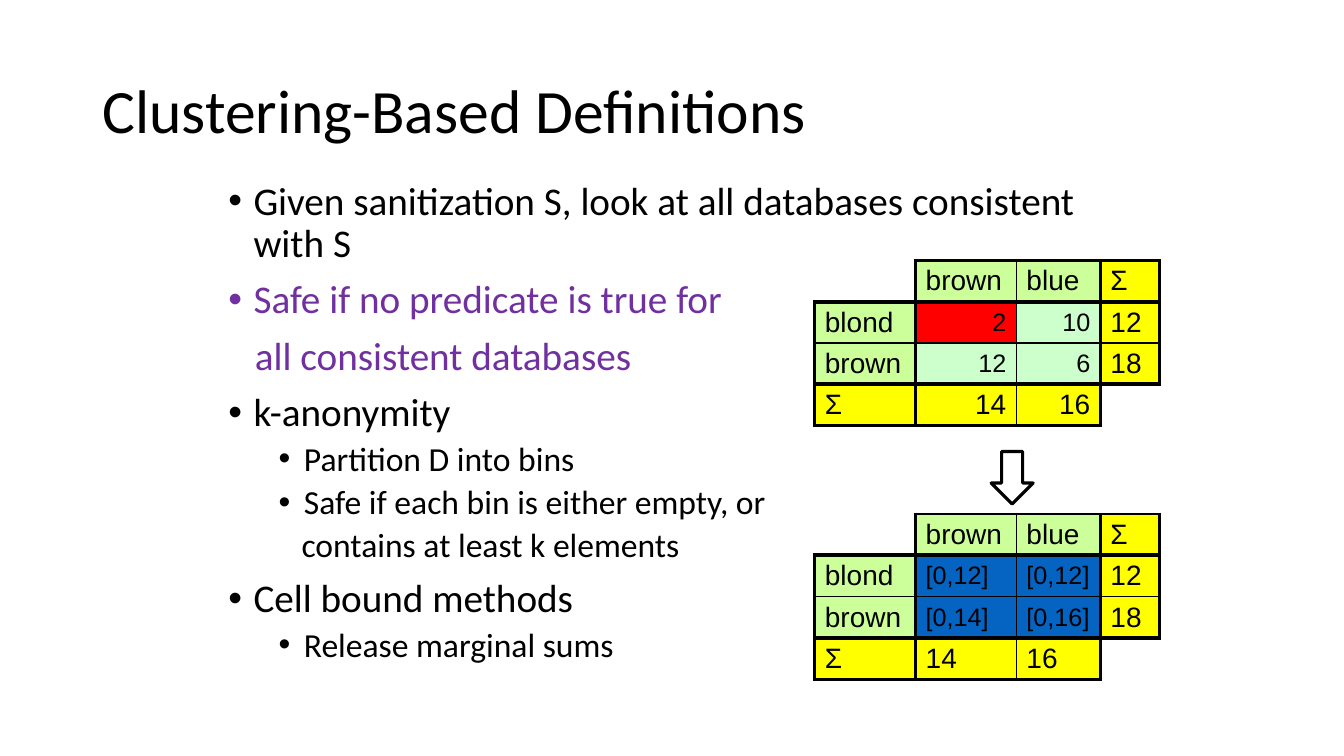
import pptx
import pptx.util
import pptx.dml.color
import pptx.enum.shapes
import pptx.enum.text
from lxml import etree

Pt = pptx.util.Pt
RGBColor = pptx.dml.color.RGBColor
MSO_ANCHOR = pptx.enum.text.MSO_ANCHOR
PP_ALIGN = pptx.enum.text.PP_ALIGN
qn = pptx.oxml.ns.qn

BLACK = RGBColor(0x00, 0x00, 0x00)
PURPLE = RGBColor(0x70, 0x30, 0xA0)
LIME = RGBColor(0xCC, 0xFF, 0x99)
MINT = RGBColor(0xCC, 0xFF, 0xCC)
YELLOW = RGBColor(0xFF, 0xFF, 0x00)
RED = RGBColor(0xFF, 0x00, 0x00)
BLUE = RGBColor(0x05, 0x63, 0xC1)

TITLE = "Clustering-Based Definitions"
POINTS = [
    (0, True, "Given sanitization S, look at all databases consistent with S", BLACK),
    (0, True, "Safe if no predicate is true for", PURPLE),
    (0, False, "all consistent databases", PURPLE),
    (0, True, "k-anonymity", BLACK),
    (1, True, "Partition D into bins", BLACK),
    (1, True, "Safe if each bin is either empty, or", BLACK),
    (1, False, "contains at least k elements", BLACK),
    (0, True, "Cell bound methods", BLACK),
    (1, True, "Release marginal sums", BLACK),
]
LEVELS = [
    {"size": 28, "before": 10, "margin": 18, "continued": 19},
    {"size": 24, "before": 5, "margin": 54, "continued": 52.3},
]
COUNTS = [["2", "10"], ["12", "6"]]
COUNT_FILLS = [[RED, MINT], [MINT, MINT]]
BOUNDS = [["[0,12]", "[0,12]"], ["[0,14]", "[0,16]"]]
BOUND_FILLS = [[BLUE, BLUE], [BLUE, BLUE]]
HAIR_COLORS = ["blond", "brown"]
EYE_COLORS = ["brown", "blue"]
HAIR_SUMS = ["12", "18"]
EYE_SUMS = ["14", "16"]

COLUMN_WIDTHS = [72, 72, 60, 42]
ROW_HEIGHT = 29.5
EDGE_WIDTHS = [2.25, 3, 1, 3, 2.25]
BLANK_CELLS = {(0, 0), (3, 3)}


def write(paragraph, text, size, font_name, color, align=PP_ALIGN.LEFT):
    paragraph.text = text
    paragraph.alignment = align
    paragraph.font.size = Pt(size)
    paragraph.font.name = font_name
    paragraph.font.color.rgb = color


def add_bullet(paragraph, margin, hanging, bulleted):
    properties = paragraph._p.get_or_add_pPr()
    properties.set("marL", str(Pt(margin)))
    properties.set("indent", str(Pt(-hanging)))
    defaults = properties.find(qn("a:defRPr"))
    if bulleted:
        marks = [("a:buFont", "typeface", "Arial"), ("a:buChar", "char", "•")]
    else:
        marks = [("a:buNone", None, None)]
    for tag, attribute, value in marks:
        mark = etree.SubElement(properties, qn(tag))
        if attribute:
            mark.set(attribute, value)
        defaults.addprevious(mark)


def draw_border(cell, side, width):
    line = etree.SubElement(cell._tc.get_or_add_tcPr(), qn("a:ln" + side))
    if width is None:
        etree.SubElement(line, qn("a:noFill"))
        return
    line.set("w", str(Pt(width)))
    fill = etree.SubElement(line, qn("a:solidFill"))
    etree.SubElement(fill, qn("a:srgbClr")).set("val", str(BLACK))


def edge_width(position, neighbor, edge):
    if position in BLANK_CELLS and not all(0 <= index <= 3 for index in neighbor):
        return None
    return EDGE_WIDTHS[edge]


def add_cross_table(slide, top, values, value_fills, align):
    frame = slide.shapes.add_table(4, 4, Pt(582), Pt(top), Pt(sum(COLUMN_WIDTHS)), Pt(4 * ROW_HEIGHT))
    table = frame.table
    table.first_row = table.horz_banding = False
    for column, width in zip(table.columns, COLUMN_WIDTHS):
        column.width = Pt(width)
    texts = [["", *EYE_COLORS, "Σ"]]
    texts += [[hair, *row, total] for hair, row, total in zip(HAIR_COLORS, values, HAIR_SUMS)]
    texts += [["Σ", *EYE_SUMS, ""]]
    for r, row in enumerate(texts):
        table.rows[r].height = Pt(ROW_HEIGHT)
        for c, text in enumerate(row):
            cell = table.cell(r, c)
            inner = r in (1, 2) and c in (1, 2)
            cell.margin_top = cell.margin_bottom = Pt(2.5)
            cell.vertical_anchor = MSO_ANCHOR.MIDDLE
            for side, neighbor, edge in (
                ("L", (r, c - 1), c), ("R", (r, c + 1), c + 1),
                ("T", (r - 1, c), r), ("B", (r + 1, c), r + 1),
            ):
                draw_border(cell, side, edge_width((r, c), neighbor, edge))
            if (r, c) in BLANK_CELLS:
                cell.fill.background()
                continue
            outer = YELLOW if 3 in (r, c) else LIME
            cell.fill.solid()
            cell.fill.fore_color.rgb = value_fills[r - 1][c - 1] if inner else outer
            numeric = c in (1, 2) and r > 0
            write(cell.text_frame.paragraphs[0], text, 18 if inner else 20, "Arial", BLACK,
                  align if numeric else PP_ALIGN.LEFT)


deck = pptx.Presentation()
deck.slide_width, deck.slide_height = Pt(960), Pt(540)
slide = deck.slides.add_slide(deck.slide_layouts[5])

title = slide.shapes.title
title.left, title.top, title.width, title.height = Pt(66), Pt(28.75), Pt(828), Pt(104.4)
title.text_frame.vertical_anchor = MSO_ANCHOR.MIDDLE
heading = title.text_frame.paragraphs[0]
write(heading, TITLE, 44, "Calibri", BLACK)
heading.line_spacing = 0.9

body = slide.shapes.add_textbox(Pt(156), Pt(126), Pt(660), Pt(402)).text_frame
body.word_wrap = True
for number, (level, bulleted, text, color) in enumerate(POINTS):
    style = LEVELS[level]
    point = body.add_paragraph() if number else body.paragraphs[0]
    write(point, text, style["size"], "Calibri", color)
    point.level = level
    point.line_spacing = 0.9
    point.space_before = Pt(style["before"])
    add_bullet(point, style["margin"] if bulleted else style["continued"], 18 if bulleted else 0, bulleted)

add_cross_table(slide, 367.2, BOUNDS, BOUND_FILLS, PP_ALIGN.LEFT)
add_cross_table(slide, 186, COUNTS, COUNT_FILLS, PP_ALIGN.RIGHT)

arrow = slide.shapes.add_shape(
    pptx.enum.shapes.MSO_SHAPE.DOWN_ARROW, Pt(708), Pt(322.5), Pt(30), Pt(37.5))
arrow.adjustments[0] = arrow.adjustments[1] = 0.5
arrow.shadow.inherit = False
arrow.fill.background()
arrow.line.color.rgb = BLACK
arrow.line.width = Pt(2.25)

deck.save("out.pptx")
